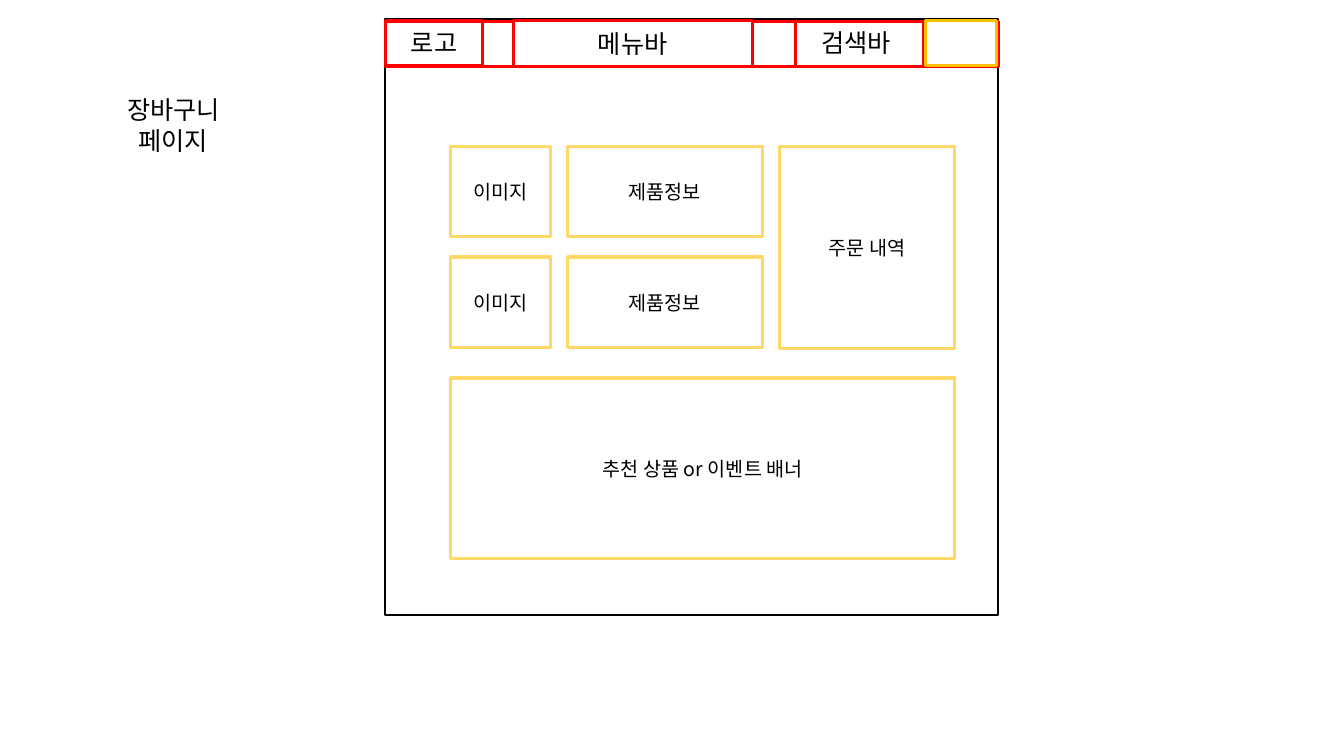
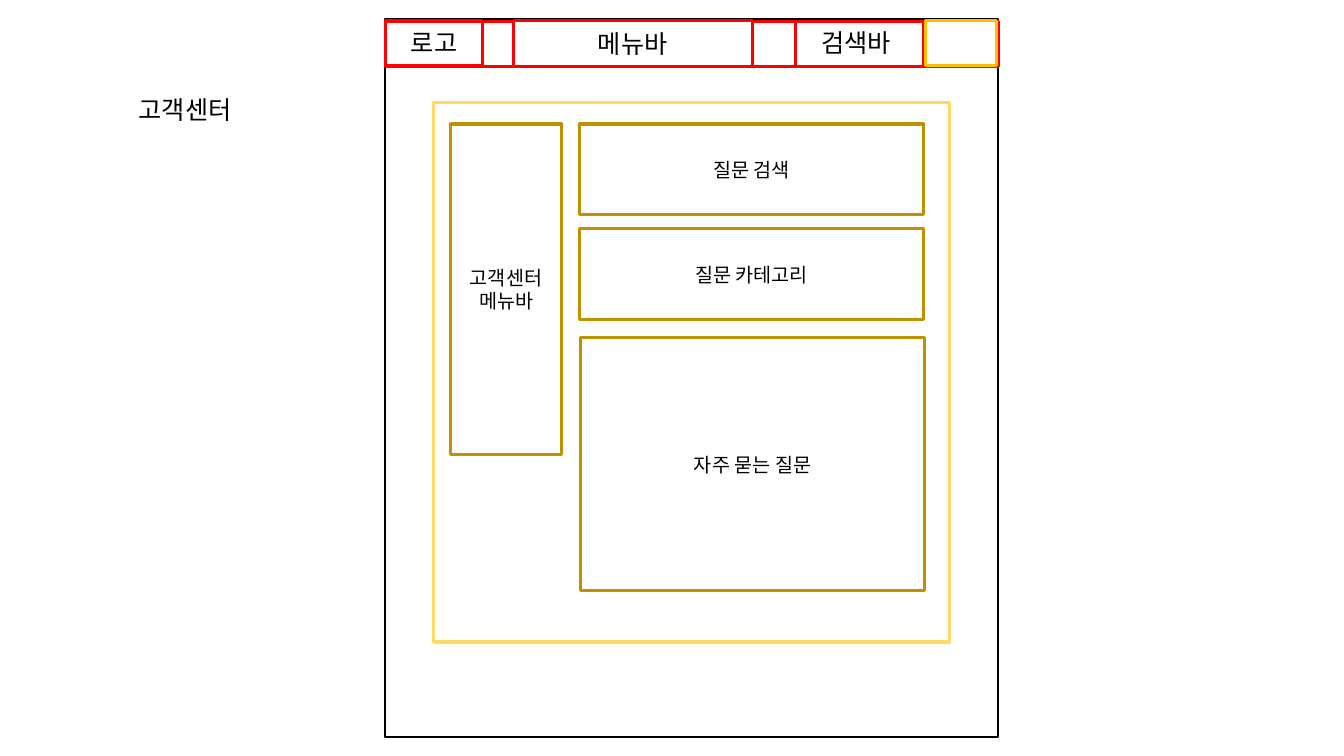
from dataclasses import dataclass

from lxml.etree import SubElement
from pptx import Presentation
from pptx.dml.color import RGBColor
from pptx.enum.shapes import MSO_SHAPE
from pptx.enum.text import MSO_ANCHOR, MSO_AUTO_SIZE, PP_ALIGN
from pptx.oxml.ns import qn
from pptx.shapes.shapetree import GroupShapes, SlideShapes
from pptx.slide import Slide
from pptx.text.text import TextFrame
from pptx.util import Emu, Pt

PX = 9144  # 100 px to the inch
FONT = "Noto Sans CJK KR"
BLACK, WHITE, RED = "000000", "FFFFFF", "FF0000"
AMBER, YELLOW, OCHRE = "FFC000", "FFD966", "BF9000"
HEADING_SIZE, PANEL_SIZE = 18, 14
FRAME_LEFT, FRAME_TOP, FRAME_WIDTH = 382, 19, 608


@dataclass(frozen=True)
class Box:
    left: int
    top: int
    width: int
    height: int

    def emu(self) -> tuple[Emu, Emu, Emu, Emu]:
        return tuple(Emu(value * PX) for value in
                     (self.left, self.top, self.width, self.height))


@dataclass(frozen=True)
class Panel:
    box: Box
    outline: str
    text: str = ""
    size: int = PANEL_SIZE
    weight: float = 2.25
    filled: bool = True


HEADER = [
    Panel(Box(FRAME_LEFT, 21, FRAME_WIDTH, 45), RED),
    Panel(Box(789, 21, 127, 45), RED),
    Panel(Box(918, 20, 70, 45), AMBER),
    Panel(Box(FRAME_LEFT, 20, 97, 45), RED, "로고", HEADING_SIZE, filled=False),
    Panel(Box(509, 20, 237, 46), RED, "메뉴바", HEADING_SIZE),
]
SEARCH_LABEL = Box(805, 22, 96, 40)

CART_PANELS = [
    Panel(Box(left, top, width, 90), YELLOW, text)
    for top in (145, 255)
    for left, width, text in ((447, 99, "이미지"), (563, 193, "제품정보"))
] + [
    Panel(Box(773, 145, 174, 201), YELLOW, "주문 내역"),
    Panel(Box(447, 375, 500, 179), YELLOW, "추천 상품 or 이벤트 배너"),
]

SUPPORT_PANELS = [
    Panel(Box(430, 102, 512, 535), YELLOW),
    Panel(Box(447, 123, 110, 328), OCHRE, "고객센터\v메뉴바"),
    Panel(Box(575, 123, 341, 90), OCHRE, "질문 검색"),
    Panel(Box(575, 227, 341, 90), OCHRE, "질문 카테고리"),
    Panel(Box(576, 335, 341, 251), OCHRE, "자주 묻는 질문"),
]


def color(value: str) -> RGBColor:
    return RGBColor.from_string(value)


def write(frame: TextFrame, text: str, size: int, anchor: MSO_ANCHOR,
          align: PP_ALIGN = PP_ALIGN.CENTER) -> None:
    frame.text = text
    frame.word_wrap = True
    frame.auto_size = MSO_AUTO_SIZE.NONE
    frame.vertical_anchor = anchor
    for para in frame.paragraphs:
        para.alignment = align
        para.line_spacing = 1.0
        for span in para.runs:
            span.font.size = Pt(size)
            span.font.name = FONT
            span.font.color.rgb = color(BLACK)
            east_asian = SubElement(span.font._element, qn("a:ea"))
            east_asian.set("typeface", FONT)


def add_panel(shapes: SlideShapes | GroupShapes, panel: Panel) -> None:
    shape = shapes.add_shape(MSO_SHAPE.RECTANGLE, *panel.box.emu())
    shape.shadow.inherit = False
    if panel.filled:
        shape.fill.solid()
        shape.fill.fore_color.rgb = color(WHITE)
    else:
        shape.fill.background()
    shape.line.color.rgb = color(panel.outline)
    shape.line.width = Pt(panel.weight)
    if panel.text:
        write(shape.text_frame, panel.text, panel.size, MSO_ANCHOR.MIDDLE)


def add_header(slide: Slide) -> None:
    shapes = slide.shapes.add_group_shape().shapes
    for panel in HEADER:
        add_panel(shapes, panel)
    label = shapes.add_textbox(*SEARCH_LABEL.emu())
    write(label.text_frame, "검색바", HEADING_SIZE, MSO_ANCHOR.TOP, PP_ALIGN.LEFT)


def add_wireframe(deck: Presentation, title: str, title_box: Box,
                  frame_height: int, panels: list[Panel]) -> None:
    """Add one slide: its title, the page frame, the header and the panels."""
    slide = deck.slides.add_slide(deck.slide_layouts.get_by_name("Title Only"))
    heading = slide.shapes.title
    heading.left, heading.top, heading.width, heading.height = title_box.emu()
    write(heading.text_frame, title, HEADING_SIZE, MSO_ANCHOR.TOP)
    frame = Box(FRAME_LEFT, FRAME_TOP, FRAME_WIDTH, frame_height)
    add_panel(slide.shapes, Panel(frame, BLACK, weight=1))
    add_header(slide)
    for panel in panels:
        add_panel(slide.shapes, panel)


def main() -> None:
    deck = Presentation()
    deck.slide_width, deck.slide_height = Emu(1333 * PX), Emu(750 * PX)
    add_wireframe(deck, "장바구니\v페이지", Box(104, 89, 136, 71), 591, CART_PANELS)
    add_wireframe(deck, "고객센터", Box(104, 89, 159, 40), 712, SUPPORT_PANELS)
    deck.save("out.pptx")


if __name__ == "__main__":
    main()
